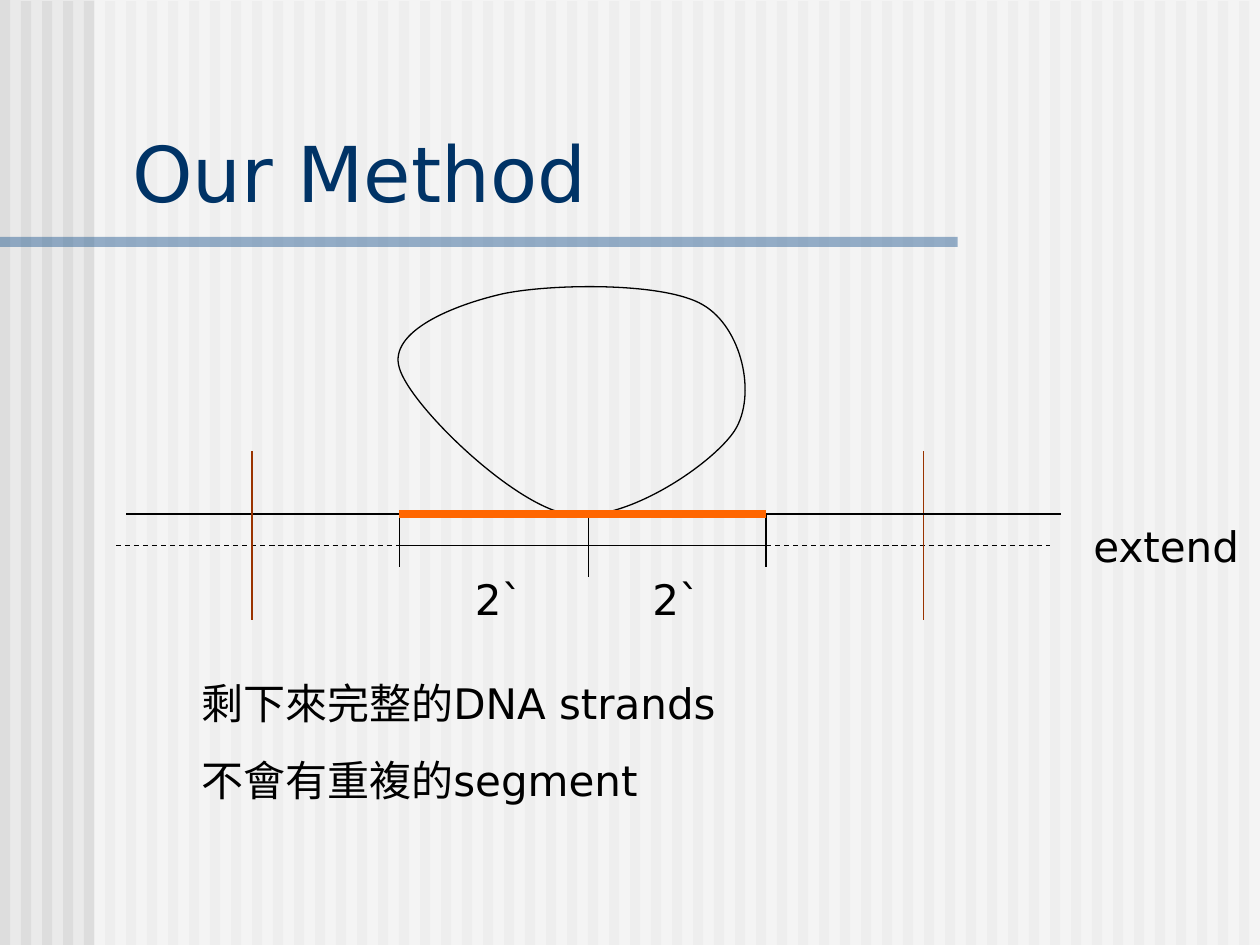
from lxml import etree
from pptx import Presentation
from pptx.dml.color import RGBColor
from pptx.enum.dml import MSO_LINE_DASH_STYLE as DASH
from pptx.enum.shapes import MSO_CONNECTOR, MSO_SHAPE
from pptx.enum.text import MSO_ANCHOR
from pptx.oxml.ns import qn
from pptx.util import Inches, Pt

FONT = "DejaVu Sans"
BLACK, NAVY, BROWN, ORANGE = "000000", "003366", "993300", "FF6600"
STRAND_Y, MEASURE_Y = 4.08, 4.33
LEFT_X, MIDDLE_X, RIGHT_X = 3.17, 4.67, 6.08
# Start point, then two control points and an end point for each curve
LOOP = [
    (4.5, 4.08),
    (4.94, 4.17), (5.65, 3.69), (5.83, 3.42),
    (6.01, 3.14), (5.89, 2.6), (5.58, 2.42),
    (5.28, 2.24), (4.4, 2.25), (4, 2.33),
    (3.6, 2.42), (3.08, 2.63), (3.17, 2.92),
    (3.25, 3.21), (4.06, 4), (4.5, 4.08),
]


def color(hex_string):
    return RGBColor.from_string(hex_string)


def add_rectangle(slide, left, top, width, height, fill, opacity=100):
    shape = slide.shapes.add_shape(
        MSO_SHAPE.RECTANGLE, Inches(left), Inches(top), Inches(width), Inches(height))
    shape.shadow.inherit = False
    shape.line.fill.background()
    shape.fill.solid()
    shape.fill.fore_color.rgb = color(fill)
    if opacity < 100:
        fill_color = shape._element.spPr.find(".//" + qn("a:srgbClr"))
        etree.SubElement(fill_color, qn("a:alpha"), val=str(opacity * 1000))


def add_line(slide, x1, y1, x2, y2, stroke=BLACK, width=0.75, dash=None):
    connector = slide.shapes.add_connector(
        MSO_CONNECTOR.STRAIGHT, Inches(x1), Inches(y1), Inches(x2), Inches(y2))
    connector.line.color.rgb = color(stroke)
    connector.line.width = Pt(width)
    if dash:
        connector.line.dash_style = dash
    etree.SubElement(connector._element.spPr, qn("a:effectLst"))


def add_text(slide, left, top, width, height, lines, size=24, fill=BLACK,
             anchor=MSO_ANCHOR.TOP):
    frame = slide.shapes.add_textbox(
        Inches(left), Inches(top), Inches(width), Inches(height)).text_frame
    frame.word_wrap = True
    frame.vertical_anchor = anchor
    frame.text = "\n".join(lines)
    for index, paragraph in enumerate(frame.paragraphs):
        paragraph.space_before = Pt(15 if index else 0)
        paragraph.font.name = FONT
        paragraph.font.size = Pt(size)
        paragraph.font.color.rgb = color(fill)


def add_curve(slide, points):
    """Draw a closed outline of cubic curves, three points to a curve."""
    start, *others = [(Inches(x), Inches(y)) for x, y in points]
    builder = slide.shapes.build_freeform(*start)
    builder.add_line_segments(others, close=True)
    shape = builder.convert_to_shape()
    shape.shadow.inherit = False
    shape.fill.background()
    shape.line.color.rgb = color(BLACK)
    shape.line.width = Pt(0.75)
    segments = list(shape._element.iter(qn("a:lnTo")))
    for index in range(0, len(segments), 3):
        curve = etree.Element(qn("a:cubicBezTo"))
        segments[index].addprevious(curve)
        for segment in segments[index:index + 3]:
            curve.append(segment[0])
            segment.getparent().remove(segment)


def add_background(slide):
    slide.background.fill.solid()
    slide.background.fill.fore_color.rgb = color("EAEAEA")
    for index in range(60):
        add_rectangle(slide, index / 6, 0.01 if index else 0, 0.08, 7.5, "DDDDDD")
    add_rectangle(slide, 0.75, 0, 9.26, 7.5, "FFFFFF", 50)
    add_rectangle(slide, 0, 1.88, 7.6, 0.08, "336699", 50)


def add_diagram(slide):
    add_line(slide, 1, STRAND_Y, LEFT_X, STRAND_Y)
    add_curve(slide, LOOP)
    for x, bottom in ((LEFT_X, 4.5), (RIGHT_X, 4.5), (MIDDLE_X, 4.58)):
        add_line(slide, x, STRAND_Y, x, bottom)
    add_line(slide, LEFT_X, MEASURE_Y, RIGHT_X, MEASURE_Y)
    for x1, x2 in ((RIGHT_X, 8.33), (0.92, LEFT_X)):
        add_line(slide, x1, MEASURE_Y, x2, MEASURE_Y, dash=DASH.DASH)
    for x in (2, 7.33):
        add_line(slide, x, 3.58, x, 4.92, BROWN)
    for x in (3.67, 5.08):
        add_text(slide, x, 4.5, 0.75, 0.5, ["2`"])
    add_text(slide, 8.58, 4.08, 1.42, 0.5, ["extend"])
    for x1, x2 in ((LEFT_X, MIDDLE_X), (4.58, RIGHT_X)):
        add_line(slide, x1, STRAND_Y, x2, STRAND_Y, ORANGE, 4.5)
    add_line(slide, RIGHT_X, STRAND_Y, 8.42, STRAND_Y)


def main():
    presentation = Presentation()
    presentation.slide_width, presentation.slide_height = Inches(10), Inches(7.5)
    slide = presentation.slides.add_slide(presentation.slide_layouts[6])
    add_background(slide)
    add_text(slide, 0.95, 0.94, 8.93, 0.84, ["Our Method"], 44, NAVY, MSO_ANCHOR.BOTTOM)
    add_diagram(slide)
    add_text(slide, 1.5, 5.33, 6, 1.11, ["剩下來完整的DNA strands", "不會有重複的segment"])
    presentation.save("out.pptx")


if __name__ == "__main__":
    main()
